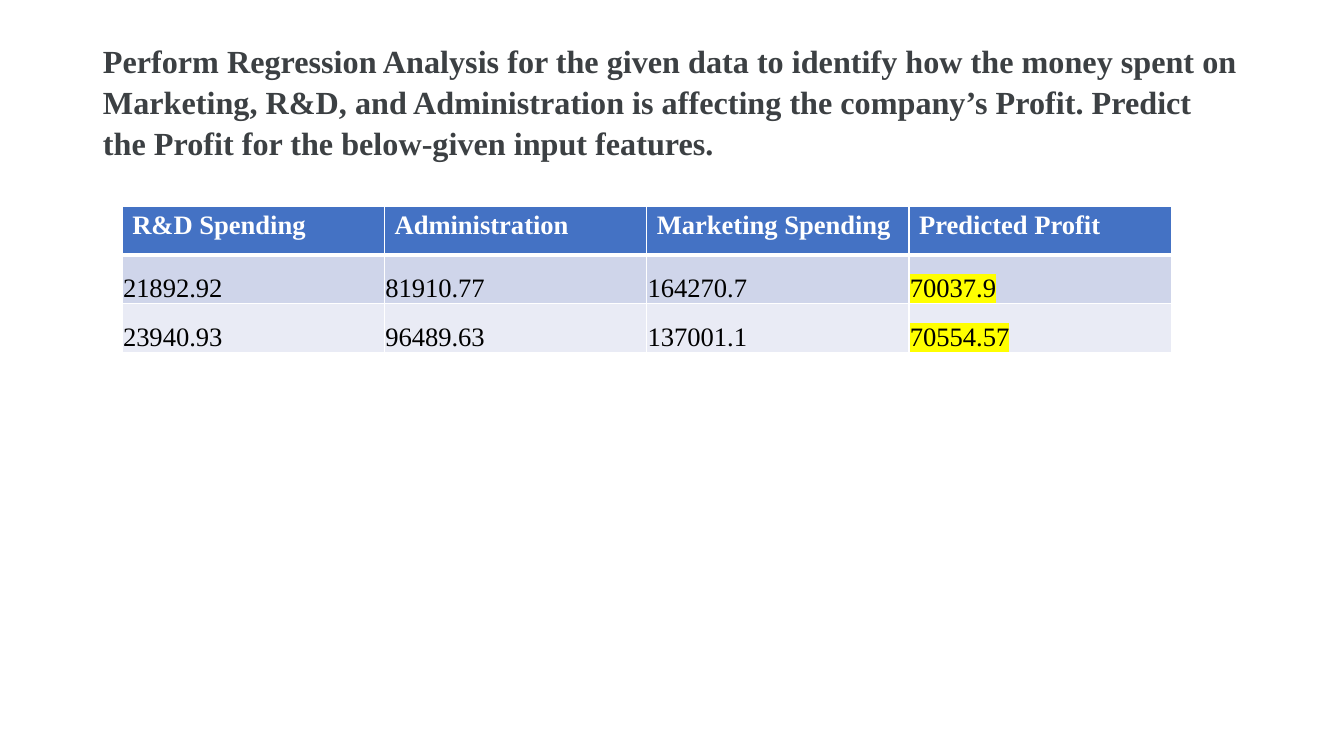
from lxml import etree
from pptx import Presentation
from pptx.dml.color import RGBColor
from pptx.enum.text import MSO_ANCHOR, MSO_AUTO_SIZE, PP_ALIGN
from pptx.oxml.ns import qn
from pptx.util import Cm, Pt

TOP, BOTTOM = MSO_ANCHOR.TOP, MSO_ANCHOR.BOTTOM
LEFT, JUSTIFY = PP_ALIGN.LEFT, PP_ALIGN.JUSTIFY
NO_AUTOFIT = MSO_AUTO_SIZE.NONE

TITLE_ONLY_LAYOUT = 5
FONT = "Times New Roman"
TASK = (
    "Perform Regression Analysis for the given data to identify how the money "
    "spent on Marketing, R&D, and Administration is affecting the company’s "
    "Profit. Predict the Profit for the below-given input features."
)
SPENDING = [
    ["R&D Spending", "Administration", "Marketing Spending", "Predicted Profit"],
    ["21892.92", "81910.77", "164270.7", "70037.9"],
    ["23940.93", "96489.63", "137001.1", "70554.57"],
]
ROW_FILLS = ["4472C4", "CFD5EA", "E9EBF5"]
VALUE_CELL = {
    "vertical_anchor": BOTTOM,
    "margin_left": Cm(0.02),
    "margin_right": Cm(0.02),
    "margin_top": Cm(0.02),
    "margin_bottom": 0,
}


def rgb(hex_code):
    return RGBColor.from_string(hex_code)


def apply_format(target, values):
    for attribute, value in values.items():
        setattr(target, attribute, value)


def write_text(frame, text, size, color, bold, paragraph_format):
    paragraph = frame.paragraphs[0]
    apply_format(paragraph, paragraph_format)
    run = paragraph.add_run()
    run.text = text
    apply_format(run.font, {"name": FONT, "size": Pt(size), "bold": bold})
    run.font.color.rgb = rgb(color)
    return run


def highlight(run, color):
    mark = etree.Element(qn("a:highlight"))
    etree.SubElement(mark, qn("a:srgbClr"), val=color)
    run.font._element.find(qn("a:solidFill")).addnext(mark)


def set_borders(cell, color, widths):
    """Draw the cell's sides; widths maps L, R, T, B, in that order, to points."""
    properties = cell._tc.get_or_add_tcPr()
    for position, (side, width) in enumerate(widths.items()):
        line = etree.Element(qn(f"a:ln{side}"), w=str(Pt(width)))
        fill = etree.SubElement(line, qn("a:solidFill"))
        etree.SubElement(fill, qn("a:srgbClr"), val=color)
        properties.insert(position, line)


def add_task_title(slide, left, top, width, height):
    title = slide.shapes.title
    apply_format(title, {"left": left, "top": top, "width": width, "height": height})
    frame = title.text_frame
    apply_format(frame, {"word_wrap": True, "auto_size": NO_AUTOFIT,
                         "vertical_anchor": TOP})
    write_text(frame, TASK, 23, "3C4043", True,
               {"alignment": LEFT, "line_spacing": 1.07})


def add_spending_table(slide, left, top, width, height):
    row_count, column_count = len(SPENDING), len(SPENDING[0])
    table = slide.shapes.add_table(
        row_count, column_count, left, top, width, height).table
    for row, (values, fill) in enumerate(zip(SPENDING, ROW_FILLS)):
        is_header = row == 0
        for column, value in enumerate(values):
            cell = table.cell(row, column)
            cell.fill.solid()
            cell.fill.fore_color.rgb = rgb(fill)
            set_borders(cell, "FFFFFF", {"L": 1, "R": 1,
                                         "T": 3 if row == 1 else 1,
                                         "B": 3 if is_header else 1})
            if not is_header:
                apply_format(cell, VALUE_CELL)
            run = write_text(cell.text_frame, value, 19,
                             "FFFFFF" if is_header else "000000", is_header,
                             {"alignment": JUSTIFY})
            if not is_header and column == column_count - 1:
                highlight(run, "FFFF00")


def main():
    presentation = Presentation()
    presentation.slide_width, presentation.slide_height = Cm(33.87), Cm(19.05)
    slide = presentation.slides.add_slide(
        presentation.slide_layouts[TITLE_ONLY_LAYOUT])
    add_task_title(slide, Cm(2.34), Cm(0.84), Cm(29.21), Cm(3.35))
    add_spending_table(slide, Cm(3.08), Cm(5.19), Cm(26.44), Cm(3.69))
    presentation.save("out.pptx")


if __name__ == "__main__":
    main()
